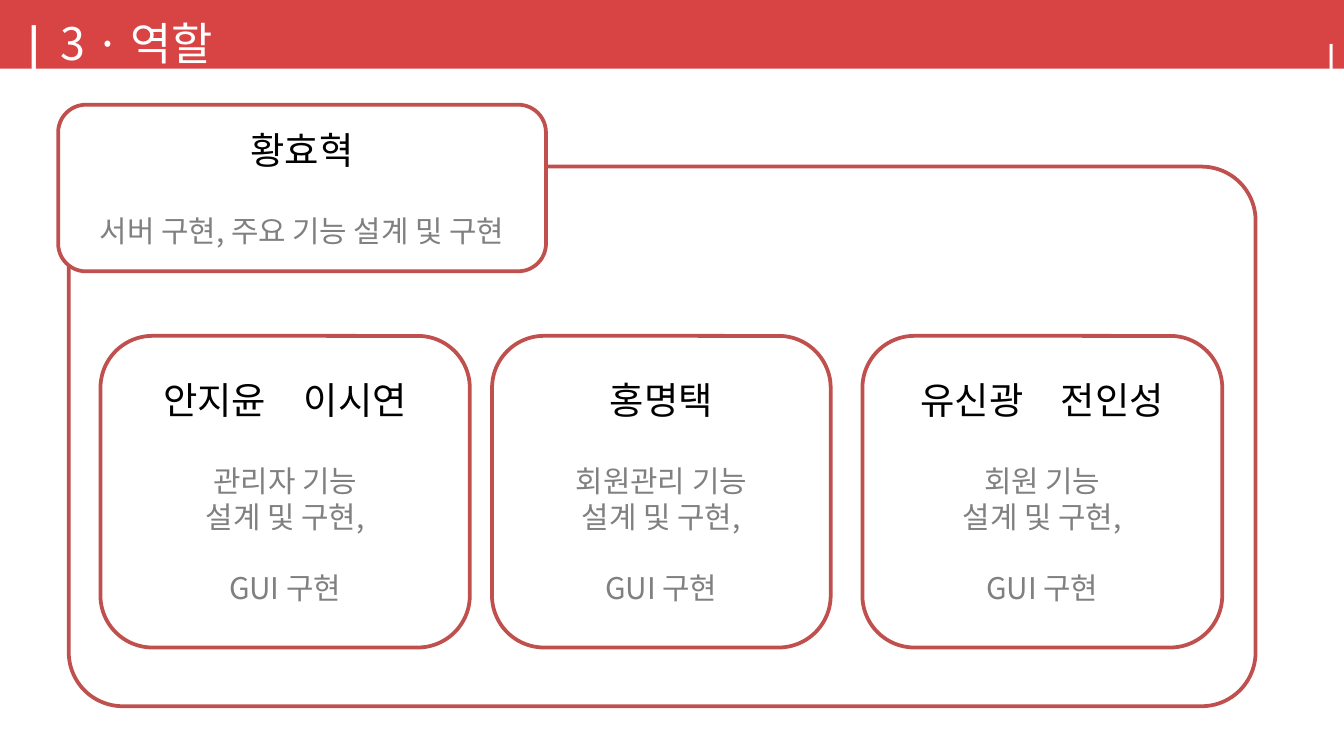
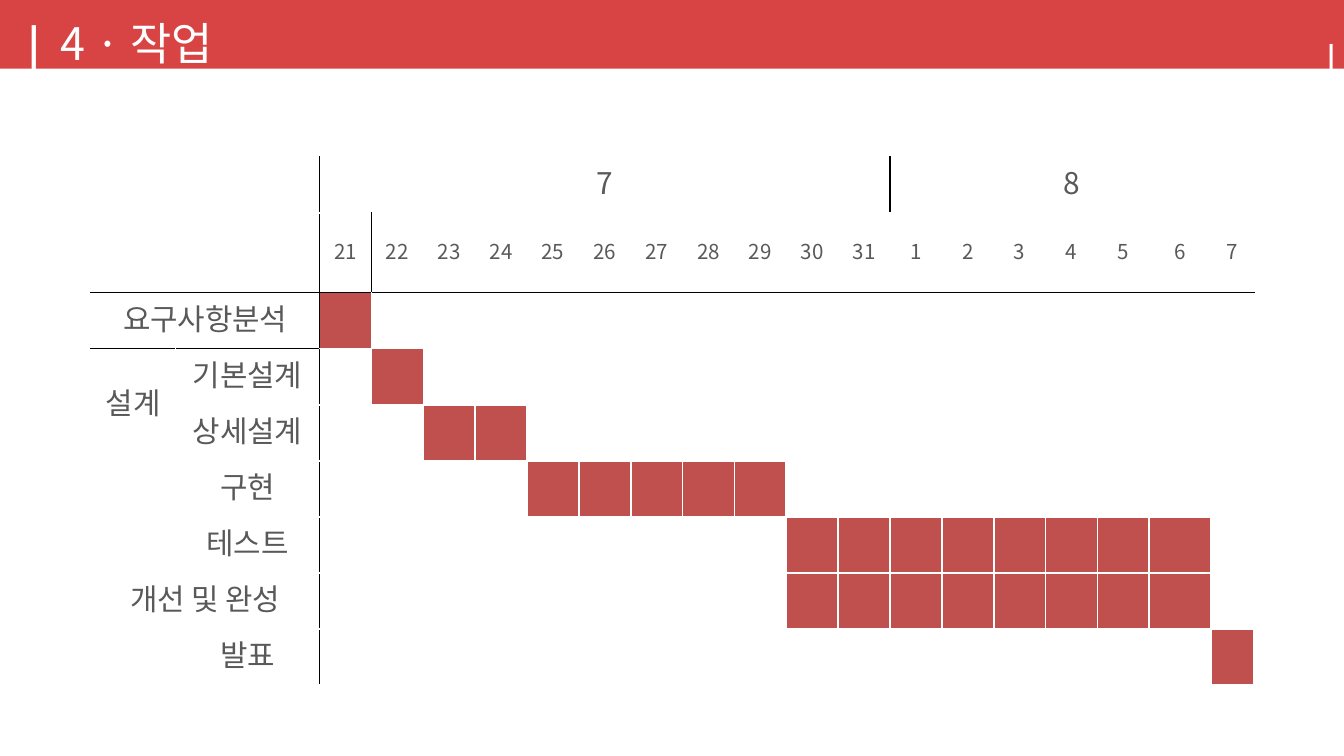
"""Build the role and schedule slides of a project deck."""
from lxml.etree import SubElement
from pptx import Presentation
from pptx.dml.color import RGBColor
from pptx.enum.shapes import MSO_SHAPE as Shape
from pptx.enum.text import MSO_ANCHOR as Anchor, PP_ALIGN as Align
from pptx.oxml.ns import qn
from pptx.util import Cm, Pt

COLORS = {
    "band": "D84444",
    "accent": "C0504D",
    "white": "FFFFFF",
    "black": "000000",
    "role": "808080",
    "label": "595959",
}
KOREAN = "Noto Sans CJK KR"
STYLES = {
    "title": {"name": KOREAN, "size": Pt(24), "color": "white"},
    "left mark": {"name": "Arial", "size": Pt(28), "color": "white"},
    "right mark": {"name": "Arial", "size": Pt(20), "color": "white"},
    "member": {"name": KOREAN, "size": Pt(20), "color": "black"},
    "role": {"name": KOREAN, "size": Pt(16), "color": "role"},
    "label": {"name": KOREAN, "size": Pt(16), "color": "label"},
    "day": {"name": KOREAN, "size": Pt(11), "color": "label"},
}


def write(frame, lines, align=Align.CENTER, **frame_format):
    """Fill a text frame with (text, style, space before) lines."""
    for name, value in frame_format.items():
        setattr(frame, name, value)
    for index, (text, style, gap) in enumerate(lines):
        para = frame.add_paragraph() if index else frame.paragraphs[0]
        look = STYLES[style]
        spacing = {"alignment": align, "space_before": Pt(gap)}
        if look["name"] == KOREAN:
            spacing["line_spacing"] = Pt(round(look["size"].pt * 1.2, 1))
        for name, value in spacing.items():
            setattr(para, name, value)
        span = para.add_run()
        span.text = text
        for name in ("name", "size"):
            setattr(span.font, name, look[name])
        span.font.color.rgb = RGBColor.from_string(COLORS[look["color"]])
        SubElement(span.font._element, qn("a:ea"), typeface=look["name"])


def add_box(page, preset, area, fill, line=None):
    """Add a flat shape at left, top, width, height in centimetres."""
    box = page.shapes.add_shape(preset, *map(Cm, area))
    box.shadow.inherit = False
    box.fill.solid()
    box.fill.fore_color.rgb = RGBColor.from_string(COLORS[fill])
    if line:
        box.line.color.rgb = RGBColor.from_string(COLORS[line])
        box.line.width = Pt(2)
    else:
        box.line.fill.background()
    return box


deck = Presentation()
deck.slide_width, deck.slide_height = Cm(25.4), Cm(14.29)

pages = []
for title in ("3 · 역할", "4 · 작업"):
    page = deck.slides.add_slide(deck.slide_layouts[6])
    add_box(page, Shape.RECTANGLE, (0, 0, 25.4, 1.3), "band")
    for text, style, area, align, anchor, wrap in (
        ("|", "left mark", (0.28, 0.08, 12.4, 1.45), Align.LEFT, Anchor.MIDDLE, True),
        ("|", "right mark", (12.7, 0.53, 12.8, 1.12), Align.RIGHT, Anchor.TOP, True),
        (title, "title", (0.89, 0.18, 5.4, 1.27), Align.LEFT, Anchor.TOP, False),
    ):
        box = page.shapes.add_textbox(*map(Cm, area))
        write(box.text_frame, [(text, style, 0)], align,
              vertical_anchor=anchor, word_wrap=wrap)
    pages.append(page)
role_page, schedule_page = pages

team_box = add_box(role_page, Shape.ROUNDED_RECTANGLE, (1.3, 3.15, 22.43, 10.2), "white", "accent")
team_box.adjustments[0] = 0.1

members = [("안지윤　이시연", "관리자 기능", 1.9, 6.98),
           ("홍명택", "회원관리 기능", 9.3, 6.4),
           ("유신광　전인성", "회원 기능", 16.3, 6.8)]
cards = [((left, 6.35, width, 5.89),
          [(names, "member", 0), (duty, "role", 21.6),
           ("설계 및 구현,", "role", 0), ("GUI 구현", "role", 19.2)])
         for names, duty, left, width in members]
cards.append(((1.1, 1.98, 9.22, 3.15),
              [("황효혁", "member", 0),
               ("서버 구현, 주요 기능 설계 및 구현", "role", 21.6)]))
for area, lines in cards:
    card = add_box(role_page, Shape.ROUNDED_RECTANGLE, area, "white", "accent")
    write(card.text_frame, lines, vertical_anchor=Anchor.MIDDLE, word_wrap=True,
          margin_left=Cm(0.1), margin_right=Cm(0.1))

column_widths = [1.6, 0.56, 2.16] + [0.98] * 16 + [1.17, 0.81]
row_heights = [1.06, 1.5] + [1.06] * 7
row_count, column_count = len(row_heights), len(column_widths)
first_day = 3
august = 14
schedule = schedule_page.shapes.add_table(
    row_count, column_count, Cm(1.72), Cm(2.97),
    Cm(sum(column_widths)), Cm(sum(row_heights))).table
schedule.first_row = schedule.horz_banding = False
for column, width in zip(schedule.columns, column_widths):
    column.width = Cm(width)
for row, height in zip(schedule.rows, row_heights):
    row.height = Cm(height)

tasks = [("요구사항분석", 0, 21, 1), ("기본설계", 1, 22, 1), ("상세설계", 1, 23, 2),
         ("구현", 1, 25, 5), ("테스트", 1, 30, 8), ("개선 및 완성", 0, 30, 8),
         ("발표", 1, 38, 1)]
merges = [(0, 0, 0, 1), (1, 0, 1, 1), (3, 0, 4, 0),
          (0, first_day, 0, august - 1), (0, august, 0, column_count - 1)]
texts = {(0, first_day): ("7", "label"), (0, august): ("8", "label"),
         (3, 0): ("설계", "label")}
for offset, day in enumerate([*range(21, 32), *range(1, 8)]):
    texts[1, first_day + offset] = (str(day), "day")
busy = set()
for row, (task, column, start, days) in enumerate(tasks, 2):
    texts[row, column] = (task, "label")
    merges.append((row, column, row, 2))
    first = first_day + start - 21
    busy.update((row, day) for day in range(first, first + days))
for top, left, bottom, right in merges:
    schedule.cell(top, left).merge(schedule.cell(bottom, right))

vertical_rules = {(row, first_day) for row in range(row_count)} | {(0, august), (1, 4)}
horizontal_rules = {(2, column) for column in range(column_count)} | {(3, 0), (3, 1), (3, 2)}
for row in range(row_count):
    for column in range(column_count):
        cell = schedule.cell(row, column)
        for name, value in {"vertical_anchor": Anchor.MIDDLE,
                            "margin_left": Cm(0.1), "margin_right": Cm(0.1)}.items():
            setattr(cell, name, value)
        properties = cell._tc.get_or_add_tcPr()
        for tag, ruled in (
            ("a:lnL", (row, column) in vertical_rules),
            ("a:lnR", (row, column + cell.span_width) in vertical_rules),
            ("a:lnT", (row, column) in horizontal_rules),
            ("a:lnB", (row + cell.span_height, column) in horizontal_rules),
        ):
            border = SubElement(properties, qn(tag), w=str(Pt(1)))
            paint = SubElement(border, qn("a:solidFill"))
            SubElement(paint, qn("a:srgbClr"), val=COLORS["black" if ruled else "white"])
        cell.fill.solid()
        fill = "accent" if (row, column) in busy else "white"
        cell.fill.fore_color.rgb = RGBColor.from_string(COLORS[fill])
        if (row, column) in texts:
            write(cell.text_frame, [(*texts[row, column], 0)])

deck.save("out.pptx")
